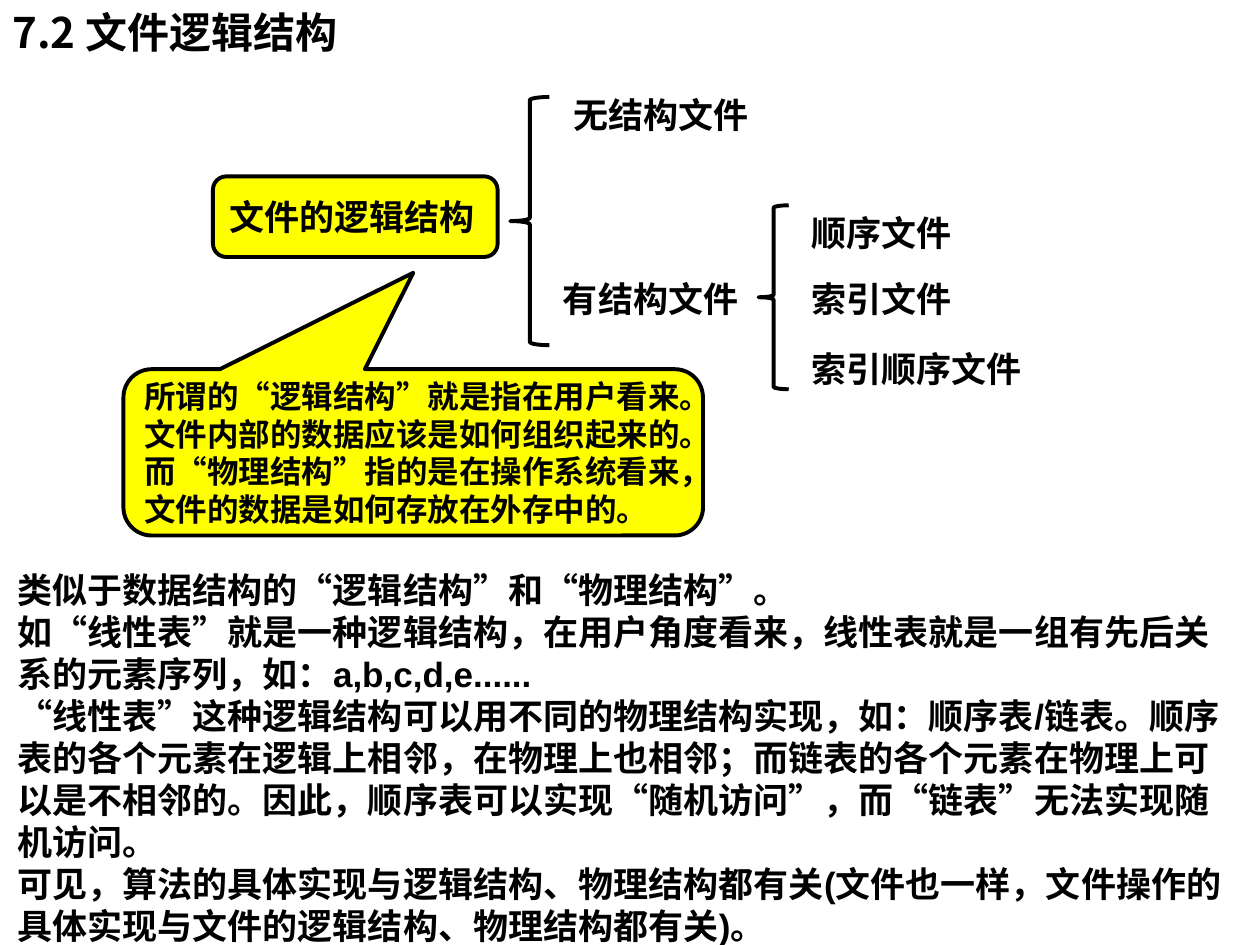
from lxml import etree
from pptx import Presentation
from pptx.dml.color import RGBColor
from pptx.enum.lang import MSO_LANGUAGE_ID
from pptx.enum.shapes import MSO_SHAPE
from pptx.enum.text import MSO_ANCHOR, PP_ALIGN
from pptx.oxml.ns import qn
from pptx.util import Inches, Pt

CHINESE = MSO_LANGUAGE_ID.SIMPLIFIED_CHINESE
ROUND_RECT = MSO_SHAPE.ROUNDED_RECTANGLE
CALLOUT = MSO_SHAPE.ROUNDED_RECTANGULAR_CALLOUT
BRACE = MSO_SHAPE.LEFT_BRACE
MIDDLE, TOP = MSO_ANCHOR.MIDDLE, MSO_ANCHOR.TOP
LEFT = PP_ALIGN.LEFT

LATIN_FONT, CHINESE_FONT = "Arial", "Noto Sans CJK SC"
BLACK, YELLOW = "000000", "FFFF00"
LINE_SPACING = 1.2

LABELS = [
    ("无结构文件", 4.45, 0.69, 1.66),
    ("有结构文件", 4.37, 2.15, 1.66),
    ("顺序文件", 6.34, 1.63, 1.38),
    ("索引文件", 6.34, 2.15, 1.38),
    ("索引顺序文件", 6.34, 2.71, 1.91),
]
BRACES = [(4.05, 0.77, 0.31, 1.97), (6.02, 1.63, 0.24, 1.46)]
DEFINITION = [
    "所谓的“逻辑结构”就是指在用户看来。",
    "文件内部的数据应该是如何组织起来的。",
    "而“物理结构”指的是在操作系统看来，",
    "文件的数据是如何存放在外存中的。",
]
EXPLANATION = [
    "类似于数据结构的“逻辑结构”和“物理结构”。",
    "如“线性表”就是一种逻辑结构，在用户角度看来，线性表就是一组有先后关系的元素序列，"
    "如：a,b,c,d,e......",
    "“线性表”这种逻辑结构可以用不同的物理结构实现，如：顺序表/链表。顺序表的各个元素在"
    "逻辑上相邻，在物理上也相邻；而链表的各个元素在物理上可以是不相邻的。因此，顺序表可以"
    "实现“随机访问”，而“链表”无法实现随机访问。",
    "可见，算法的具体实现与逻辑结构、物理结构都有关(文件也一样，文件操作的具体实现与文件的"
    "逻辑结构、物理结构都有关)。",
]


def color(value):
    return RGBColor.from_string(value)


def write(sp, lines, size, latin=LATIN_FONT, anchor=TOP, wrap=True):
    tf = sp.text_frame
    tf.text = "\n".join(lines)
    tf.word_wrap = wrap
    tf.vertical_anchor = anchor
    for p in tf.paragraphs:
        p.alignment = LEFT
        p.line_spacing = Pt(size * LINE_SPACING)
        for r in p.runs:
            r.font.size = Pt(size)
            r.font.bold = True
            r.font.name = latin
            r.font.language_id = CHINESE
            r.font.color.rgb = color(BLACK)
            ea = etree.SubElement(r.font._element, qn("a:ea"))
            ea.set("typeface", CHINESE_FONT)


def add_text(s, lines, box, size=20, **style):
    write(s.shapes.add_textbox(*map(Inches, box)), lines, size, **style)


def add_outlined(s, kind, box, fill=None):
    sp = s.shapes.add_shape(kind, *map(Inches, box))
    sp.shadow.inherit = False
    sp.line.color.rgb = color(BLACK)
    sp.line.width = Pt(2.25)
    if fill:
        sp.fill.solid()
        sp.fill.fore_color.rgb = color(fill)
    else:
        sp.fill.background()
    return sp


def main():
    prs = Presentation()
    prs.slide_width, prs.slide_height = Inches(10), Inches(7.5)
    s = prs.slides.add_slide(prs.slide_layouts[6])

    add_text(s, ["7.2 文件逻辑结构"], (0, 0, 10, 0.5), 24,
             latin=CHINESE_FONT, anchor=MIDDLE)

    root = add_outlined(s, ROUND_RECT, (1.69, 1.4, 2.26, 0.64), YELLOW)
    write(root, ["文件的逻辑结构"], 20, anchor=MIDDLE, wrap=False)
    for box in BRACES:
        add_outlined(s, BRACE, box)
    for label, left, top, width in LABELS:
        add_text(s, [label], (left, top, width, 0.44))

    callout = add_outlined(s, CALLOUT, (0.98, 2.93, 4.6, 1.32), YELLOW)
    callout.adjustments[0] = 0
    callout.adjustments[1] = -1.08
    callout.adjustments[2] = 0.17
    write(callout, DEFINITION, 18, anchor=MIDDLE, wrap=False)

    add_text(s, EXPLANATION, (0.04, 4.46, 9.93, 2.79))
    prs.save("out.pptx")


if __name__ == "__main__":
    main()
